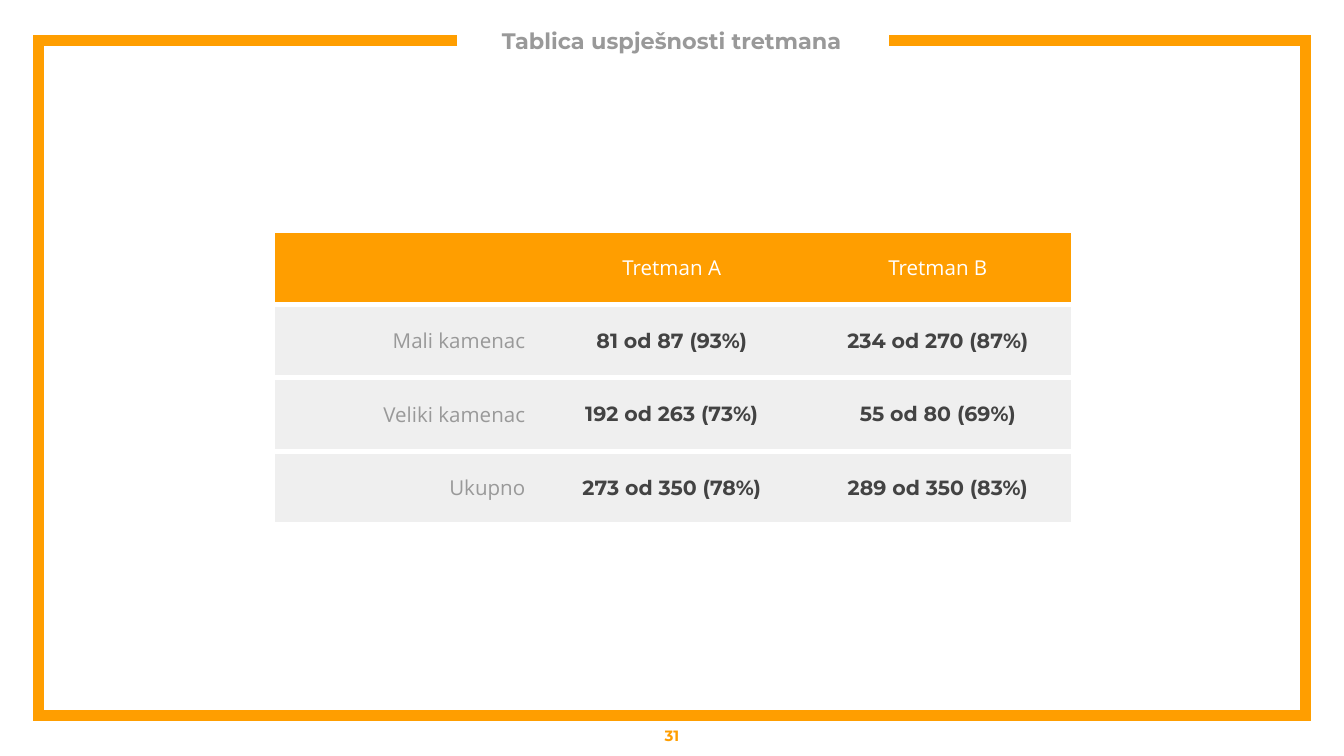
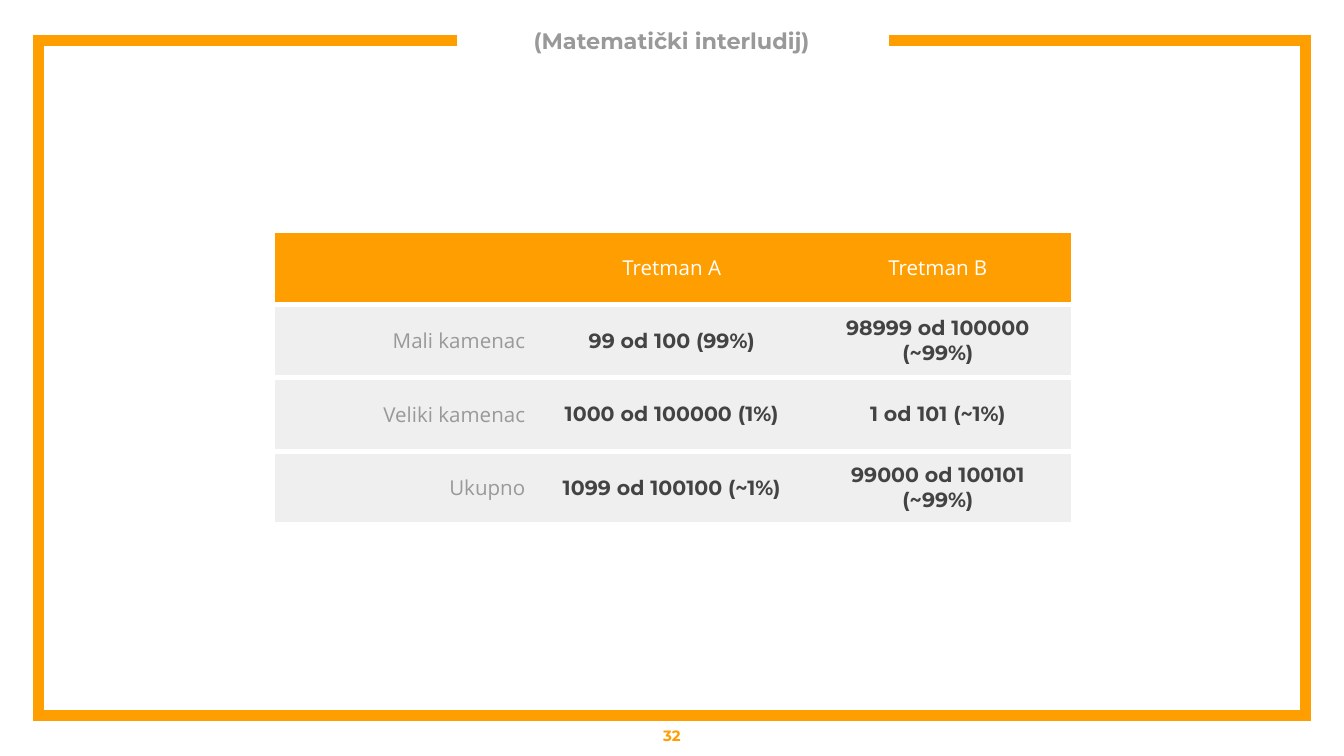
from lxml.etree import SubElement
from pptx import Presentation
from pptx.dml.color import RGBColor
from pptx.enum.text import MSO_ANCHOR, PP_ALIGN
from pptx.oxml import parse_xml
from pptx.oxml.ns import nsdecls, qn
from pptx.util import Cm, Pt

# Content
HEAD = ["", "Tretman A", "Tretman B"]
PAGES = [
    (31, "Tablica uspješnosti tretmana", [
        ["Mali kamenac", "81 od 87 (93%)", "234 od 270 (87%)"],
        ["Veliki kamenac", "192 od 263 (73%)", "55 od 80 (69%)"],
        ["Ukupno", "273 od 350 (78%)", "289 od 350 (83%)"],
    ]),
    (32, "(Matematički interludij)", [
        ["Mali kamenac", "99 od 100 (99%)", "98999 od 100000 (~99%)"],
        ["Veliki kamenac", "1000 od 100000 (1%)", "1 od 101 (~1%)"],
        ["Ukupno", "1099 od 100100 (~1%)", "99000 od 100101 (~99%)"],
    ]),
]

# Shared look
ORANGE = RGBColor(0xFF, 0x9E, 0x00)
GRAY = RGBColor(0x99, 0x99, 0x99)
DARK = RGBColor(0x43, 0x43, 0x43)
PALE = RGBColor(0xEF, 0xEF, 0xEF)
WHITE = RGBColor(0xFF, 0xFF, 0xFF)

TITLE = {"name": "Montserrat", "size": Pt(12), "bold": True, "color": GRAY}
FOOT = {"name": "Montserrat", "size": Pt(8), "bold": True, "color": ORANGE}
TOP = {"name": "Open Sans", "size": Pt(11), "bold": False, "color": WHITE}
LABEL = {**TOP, "color": GRAY}
VALUE = {"name": "Montserrat", "size": Pt(11), "bold": True, "color": DARK}

# Places in cm
FRAME = [(8.64, 0.76), (0.73, 0.76), (0.73, 13.53),
         (24.68, 13.53), (24.68, 0.76), (16.8, 0.76)]
COL, ROW = 5.03, 1.39


def write(frame, text, look, align=PP_ALIGN.CENTER):
    para = frame.paragraphs[0]
    para.alignment = align
    if not text:
        return
    run = para.add_run()
    run.text = text
    for key, val in look.items():
        if key == "color":
            run.font.color.rgb = val
        else:
            setattr(run.font, key, val)


def add_text(slide, box, text, look, inset):
    frame = slide.shapes.add_textbox(*map(Cm, box)).text_frame
    frame.word_wrap = True
    frame.vertical_anchor = MSO_ANCHOR.MIDDLE
    for side in ("left", "top", "right", "bottom"):
        setattr(frame, "margin_" + side, Cm(inset))
    write(frame, text, look)


def add_frame(slide):
    # Pen points are whole numbers, so they are given in EMU
    start, *rest = [(Cm(x), Cm(y)) for x, y in FRAME]
    pen = slide.shapes.build_freeform(*start)
    pen.add_line_segments(rest, close=False)
    shape = pen.convert_to_shape()
    shape.shadow.inherit = False
    shape.fill.background()
    shape.line.color.rgb = ORANGE
    shape.line.width = Pt(6)
    SubElement(shape.line._ln, qn("a:miter"), lim="800000")


def set_edges(cell, shown):
    props = cell._tc.get_or_add_tcPr()
    for spot, side in enumerate("LRTB"):
        fill = "<a:noFill/>"
        if side in shown:
            fill = f'<a:solidFill><a:srgbClr val="{WHITE}"/></a:solidFill>'
        props.insert(spot, parse_xml(
            f'<a:ln{side} {nsdecls("a")} w="{Pt(3)}">{fill}</a:ln{side}>'))


def add_grid(slide, rows):
    size = len(rows), len(HEAD)
    table = slide.shapes.add_table(
        *size, Cm(5.15), Cm(4.36), Cm(COL * size[1]), Cm(ROW * size[0])).table
    table.horz_banding = False
    for col in table.columns:
        col.width = Cm(COL)
    for r, row in enumerate(rows):
        table.rows[r].height = Cm(ROW)
        for c, text in enumerate(row):
            cell = table.cell(r, c)
            cell.vertical_anchor = MSO_ANCHOR.MIDDLE
            cell.margin_left = cell.margin_right = Cm(0.25)
            cell.margin_top = cell.margin_bottom = Cm(0.18)
            cell.fill.solid()
            cell.fill.fore_color.rgb = PALE if r else ORANGE
            set_edges(cell, "TB" if c else "LTB")
            look = TOP if r == 0 else VALUE if c else LABEL
            write(cell.text_frame, text, look,
                  PP_ALIGN.CENTER if c else PP_ALIGN.RIGHT)


def main():
    deck = Presentation()
    deck.slide_width, deck.slide_height = Cm(25.4), Cm(14.29)
    for num, title, rows in PAGES:
        slide = deck.slides.add_slide(deck.slide_layouts[6])
        add_frame(slide)
        add_text(slide, (9, 0.27, 7.39, 1), title, TITLE, 0)
        add_grid(slide, [HEAD] + rows)
        add_text(slide, (0, 13.53, 25.4, 0.76), str(num), FOOT, 0.25)
    deck.save("out.pptx")


if __name__ == "__main__":
    main()
